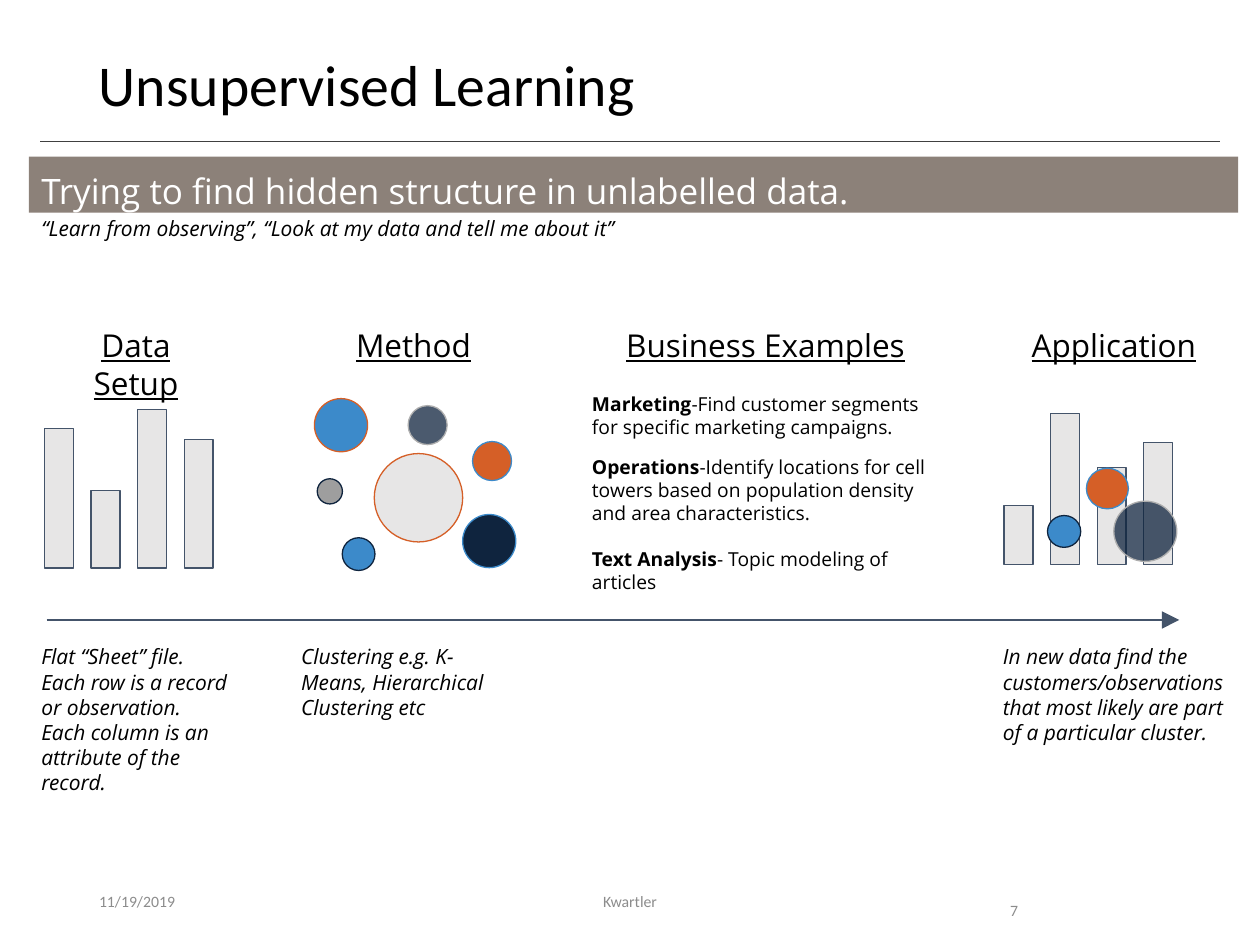
from lxml import etree
from pptx import Presentation
from pptx.dml.color import RGBColor
from pptx.enum.shapes import MSO_CONNECTOR, MSO_SHAPE
from pptx.enum.text import MSO_ANCHOR, PP_ALIGN
from pptx.oxml.ns import qn
from pptx.util import Pt

RECT, OVAL = MSO_SHAPE.RECTANGLE, MSO_SHAPE.OVAL
LINE = MSO_CONNECTOR.STRAIGHT
TOP, MIDDLE = MSO_ANCHOR.TOP, MSO_ANCHOR.MIDDLE
LEFT, CENTER = PP_ALIGN.LEFT, PP_ALIGN.CENTER
BLUE, ORANGE, NAVY, SLATE = "3C8ACA", "D55F27", "0F243E", "44546A"
PALE, SILVER, GRAY = "E7E6E6", "AEAEAE", "8C8C8C"

prs = Presentation()
prs.slide_width, prs.slide_height = Pt(720), Pt(540)
s = prs.slides.add_slide(prs.slide_layouts[6])


def color(value):
    return RGBColor.from_string(value)


def add_text(text, x, y, w, h, size=12, font="Open Sans", ink="000000", lead="",
             italic=False, underline=False, align=LEFT, anchor=TOP,
             inset=7.2, spacing=None, fill=None):
    """Add a text box; lead is a bold opening, a newline is a line break."""
    sp = s.shapes.add_textbox(Pt(x), Pt(y), Pt(w), Pt(h))
    if fill:
        sp.fill.solid()
        sp.fill.fore_color.rgb = color(fill)
    tf = sp.text_frame
    tf.word_wrap = True
    tf.vertical_anchor = anchor
    tf.margin_left = tf.margin_right = Pt(7.2)
    tf.margin_top = tf.margin_bottom = Pt(inset)
    p = tf.paragraphs[0]
    p.alignment = align
    p.line_spacing = spacing
    if lead:
        r = p.add_run()
        r.text = lead
        r.font.bold = True
    for i, line in enumerate(text.split("\n")):
        if i:
            p.add_line_break()
        p.add_run().text = line
    for r in p.runs:
        r.font.size, r.font.name = Pt(size), font
        r.font.color.rgb = color(ink)
        r.font.italic, r.font.underline = italic, underline


# Title, banner and quote
add_text("Unsupervised Learning", 49.5, 28.8, 621, 46.8, size=33,
         font="Calibri", inset=3.6, spacing=0.9)
add_text("Trying to find hidden structure in unlabelled data.",
         16.5, 89.5, 691, 32, size=20, ink="FFFFFF", fill="8C8179")
add_text("“Learn from observing”, “Look at my data and tell me about it”",
         16.5, 116, 691, 19.5, italic=True)

# Column headings
for text, x, w in [("Data Setup", 31, 93.5), ("Method", 191.5, 89.5),
                   ("Business Examples", 331, 213), ("Application", 578, 117)]:
    add_text(text, x, 179.3, w, 34, size=18, underline=True, align=CENTER)

# Business examples
for lead, text, y, h, anchor in [
        ("Marketing", "-Find customer segments for specific marketing campaigns.",
         216.7, 41, TOP),
        ("Operations", "-Identify locations for cell towers based on population "
         "density and area characteristics.", 252, 55.5, MIDDLE),
        ("Text Analysis", "- Topic modeling of articles", 298, 55.5, MIDDLE)]:
    add_text(text, 331.2, y, 206.6, h, size=11, lead=lead, anchor=anchor)

# Explanations below the arrow
for text, x, w in [
        ("Flat “Sheet” file.\nEach row is a record or observation.\n"
         "Each column is an attribute of the record.", 16.5, 123),
        ("Clustering e.g. K-Means, Hierarchical Clustering etc", 165, 123),
        ("In new data find the customers/observations that most likely are "
         "part of a particular cluster.", 566, 144)]:
    add_text(text, x, 360.7, w, 74, italic=True)

# Bar drawings: left edge, baseline, bar heights
for left, base, heights in [(25.5, 324.7, [80, 44.6, 90.7, 73.4]),
                            (573.8, 322.6, [33.8, 86.4, 55.4, 69.8])]:
    bars = s.shapes.add_group_shape()
    for i, h in enumerate(heights):
        sp = bars.shapes.add_shape(RECT, Pt(left + 26.6 * i), Pt(base - h),
                                   Pt(16.5), Pt(h))
        sp.shadow.inherit = False
        sp.fill.solid()
        sp.fill.fore_color.rgb = color(PALE)
        sp.line.color.rgb = color(SLATE)
        sp.line.width = Pt(0.75)

# Cluster circles: left, top, width, height, fill, outline, opacity in percent
method = [
    (213.9, 259.2, 50.5, 50.5, PALE, ORANGE, 100),
    (179.7, 227.8, 30.4, 30.4, BLUE, ORANGE, 100),
    (233.2, 231.8, 22.3, 22.3, NAVY, SILVER, 75),
    (270, 252.3, 22.3, 22.3, ORANGE, BLUE, 100),
    (181.3, 273.6, 14.4, 14.4, "9E9E9E", NAVY, 100),
    (264.4, 294, 30.4, 30.4, NAVY, BLUE, 100),
    (195.6, 307.3, 18.7, 18.7, BLUE, NAVY, 100)]
application = [
    (620.8, 267.6, 24, 23.2, ORANGE, BLUE, 100),
    (636.5, 286.4, 36, 34.4, NAVY, SILVER, 75),
    (598.6, 294.6, 19, 18.2, BLUE, NAVY, 100)]
for shapes, circles in [(s.shapes.add_group_shape().shapes, method),
                        (s.shapes, application)]:
    for x, y, w, h, fill, outline, opacity in circles:
        sp = shapes.add_shape(OVAL, Pt(x), Pt(y), Pt(w), Pt(h))
        sp.shadow.inherit = False
        sp.fill.solid()
        sp.fill.fore_color.rgb = color(fill)
        sp.line.color.rgb = color(outline)
        sp.line.width = Pt(0.75)
        if opacity < 100:
            rgb = sp.fill._xPr.find(qn("a:solidFill"))[0]
            etree.SubElement(rgb, qn("a:alpha"), val=str(opacity * 1000))

# Title rule and process arrow
for x1, x2, y, ink, width, arrow in [(23, 697, 80.8, "404040", 0.5, False),
                                     (26.6, 673.9, 354.3, SLATE, 0.75, True)]:
    sp = s.shapes.add_connector(LINE, Pt(x1), Pt(y), Pt(x2), Pt(y))
    sp.line.color.rgb = color(ink)
    sp.line.width = Pt(width)
    if arrow:
        etree.SubElement(sp.line._get_or_add_ln(), qn("a:tailEnd"),
                         type="triangle", w="lg", len="lg")
    etree.SubElement(sp._element.spPr, qn("a:effectLst"))

# Footer
for text, x, w, align, anchor, spacing in [
        ("11/19/2019", 49.5, 162, LEFT, MIDDLE, None),
        ("Kwartler", 238.5, 243, CENTER, MIDDLE, None),
        ("7", 570.2, 67.7, LEFT, TOP, 2)]:
    add_text(text, x, 500.5, w, 28.8, size=9, font="Calibri", ink=GRAY,
             align=align, anchor=anchor, inset=3.6, spacing=spacing)

prs.save("out.pptx")
